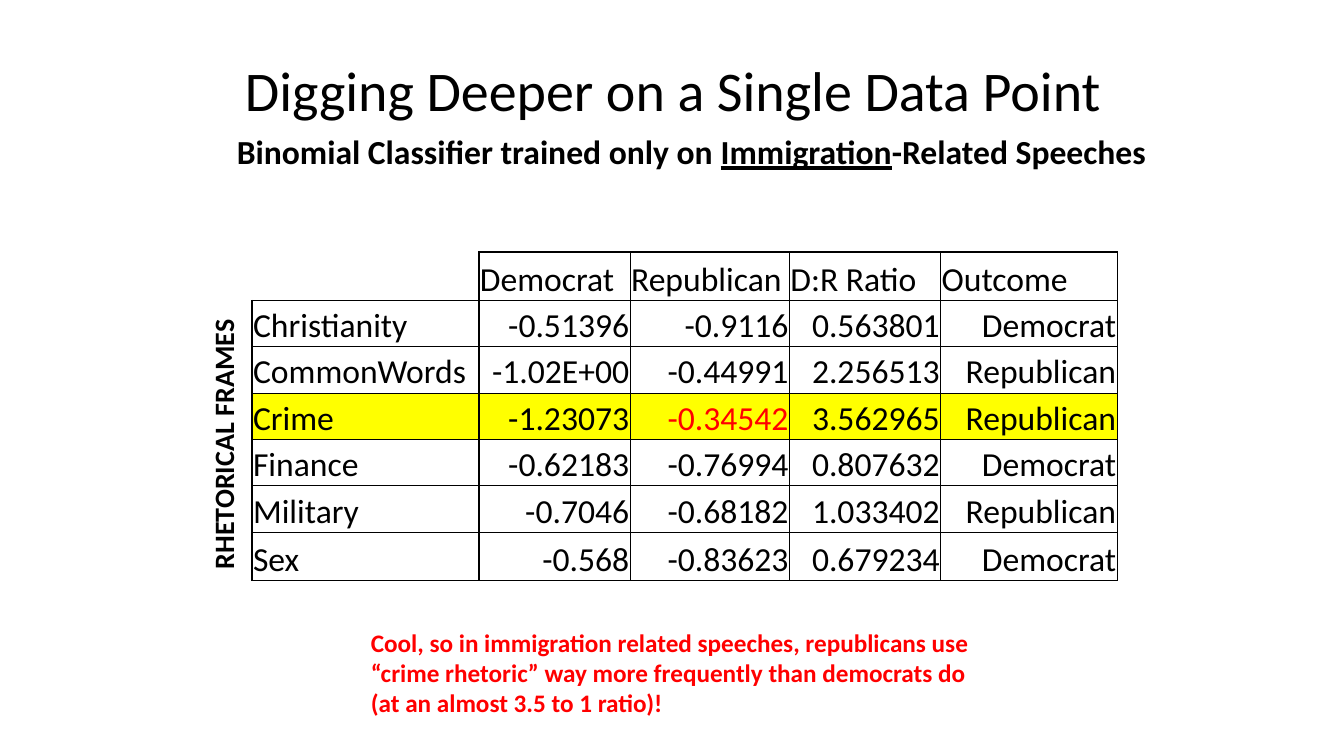
from lxml.etree import SubElement
from pptx import Presentation
from pptx.dml.color import RGBColor
from pptx.enum.text import MSO_ANCHOR, PP_ALIGN
from pptx.oxml.ns import qn
from pptx.util import Inches, Pt

COLORS = {"text": "000000", "accent": "FF0000", "highlight": "FFFF00"}
FONT = "Calibri"
THICK, THIN = 1, 0.5
COL_WIDTHS = [2.25, 1.5, 1.58, 1.5, 1.75]
ROW_HEIGHTS = [0.48] + [0.46] * 5 + [0.48]
FRAMES = [
    ["", "Democrat", "Republican", "D:R Ratio", "Outcome"],
    ["Christianity", "-0.51396", "-0.9116", "0.563801", "Democrat"],
    ["CommonWords", "-1.02E+00", "-0.44991", "2.256513", "Republican"],
    ["Crime", "-1.23073", "-0.34542", "3.562965", "Republican"],
    ["Finance", "-0.62183", "-0.76994", "0.807632", "Democrat"],
    ["Military", "-0.7046", "-0.68182", "1.033402", "Republican"],
    ["Sex", "-0.568", "-0.83623", "0.679234", "Democrat"],
]
CRIME_ROW, REPUBLICAN_COL = 3, 2


def rgb(name):
    """Return the named colour."""
    return RGBColor.from_string(COLORS[name])


def style(p, size, color="text", bold=False):
    """Format the font of a paragraph."""
    p.font.name = FONT
    p.font.size = Pt(size)
    p.font.bold = bold
    p.font.color.rgb = rgb(color)


def place(sp, left, top, width, height):
    """Position a shape, with lengths in inches."""
    sp.left, sp.top = Inches(left), Inches(top)
    sp.width, sp.height = Inches(width), Inches(height)


def add_title(slide, text, box):
    """Fill the title placeholder."""
    sp = slide.shapes.title
    place(sp, *box)
    tf = sp.text_frame
    tf.word_wrap = False
    tf.vertical_anchor = MSO_ANCHOR.TOP
    tf.text = text
    p = tf.paragraphs[0]
    p.alignment = PP_ALIGN.LEFT
    style(p, 40)


def add_label(slide, runs, box, size, color="text", wrap=True, rotation=0):
    """Add a bold text box; runs are (text, underlined) pairs."""
    sp = slide.shapes.add_textbox(*map(Inches, box))
    sp.rotation = rotation
    tf = sp.text_frame
    tf.word_wrap = wrap
    p = tf.paragraphs[0]
    style(p, size, color, bold=True)
    for text, underlined in runs:
        r = p.add_run()
        r.text = text
        if underlined:
            r.font.underline = True


def set_border(cell, side, width):
    """Draw one cell border, or none when the width is zero."""
    ln = SubElement(cell._tc.get_or_add_tcPr(), qn(f"a:ln{side}"), w=str(Pt(width)))
    if width:
        fill = SubElement(ln, qn("a:solidFill"))
        SubElement(fill, qn("a:srgbClr"), val=COLORS["text"])
    else:
        SubElement(ln, qn("a:noFill"))


def border_widths(row, col):
    """Give border widths: thick around the table and its headers."""
    last_row, last_col = len(FRAMES) - 1, len(COL_WIDTHS) - 1
    corner = row == col == 0
    return {
        "L": 0 if corner else THICK if col <= 1 else THIN,
        "R": THICK if col in (0, last_col) else THIN,
        "T": 0 if corner else THICK if row <= 1 else THIN,
        "B": THICK if row in (0, last_row) else THIN,
    }


def format_cell(cell, row, col):
    """Set text, borders and fill of one table cell."""
    cell.text = FRAMES[row][col]
    cell.vertical_anchor = MSO_ANCHOR.BOTTOM
    cell.margin_left = cell.margin_right = cell.margin_top = Inches(0.01)
    cell.margin_bottom = 0
    p = cell.text_frame.paragraphs[0]
    p.alignment = PP_ALIGN.RIGHT if row and col else PP_ALIGN.LEFT
    key_value = (row, col) == (CRIME_ROW, REPUBLICAN_COL)
    style(p, 24, "accent" if key_value else "text")
    for side, width in border_widths(row, col).items():
        set_border(cell, side, width)
    if row == CRIME_ROW:
        cell.fill.solid()
        cell.fill.fore_color.rgb = rgb("highlight")
    else:
        cell.fill.background()


def add_frames_table(slide, left, top):
    """Add the table of rhetorical frames."""
    table = slide.shapes.add_table(
        len(FRAMES), len(COL_WIDTHS), Inches(left), Inches(top),
        Inches(sum(COL_WIDTHS)), Inches(sum(ROW_HEIGHTS))).table
    table.first_row = table.horz_banding = False
    for column, width in zip(table.columns, COL_WIDTHS):
        column.width = Inches(width)
    for row, height in enumerate(ROW_HEIGHTS):
        table.rows[row].height = Inches(height)
        for col in range(len(COL_WIDTHS)):
            format_cell(table.cell(row, col), row, col)


def main():
    """Build the slide and save it."""
    prs = Presentation()
    prs.slide_width, prs.slide_height = Inches(13.33), Inches(7.5)
    slide = prs.slides.add_slide(prs.slide_layouts[5])
    add_frames_table(slide, 2.5, 2.5)
    add_label(slide, [("Binomial Classifier trained only on ", False),
                      ("Immigration", True), ("-Related Speeches", False)],
              (2.25, 1.25, 9.31, 0.5), 24, wrap=False)
    add_label(slide, [("RHETORICAL FRAMES", False)],
              (0.05, 3.36, 4.33, 0.44), 20, rotation=270)
    add_title(slide, "Digging Deeper on a Single Data Point", (2.33, 0.5, 8.98, 0.77))
    add_label(slide, [("Cool, so in immigration related speeches, republicans use "
                       "“crime rhetoric” way more frequently than democrats do "
                       "(at an almost 3.5 to 1 ratio)!", False)],
              (3.58, 6.17, 6.33, 1.01), 18, "accent")
    prs.save("out.pptx")


main()
